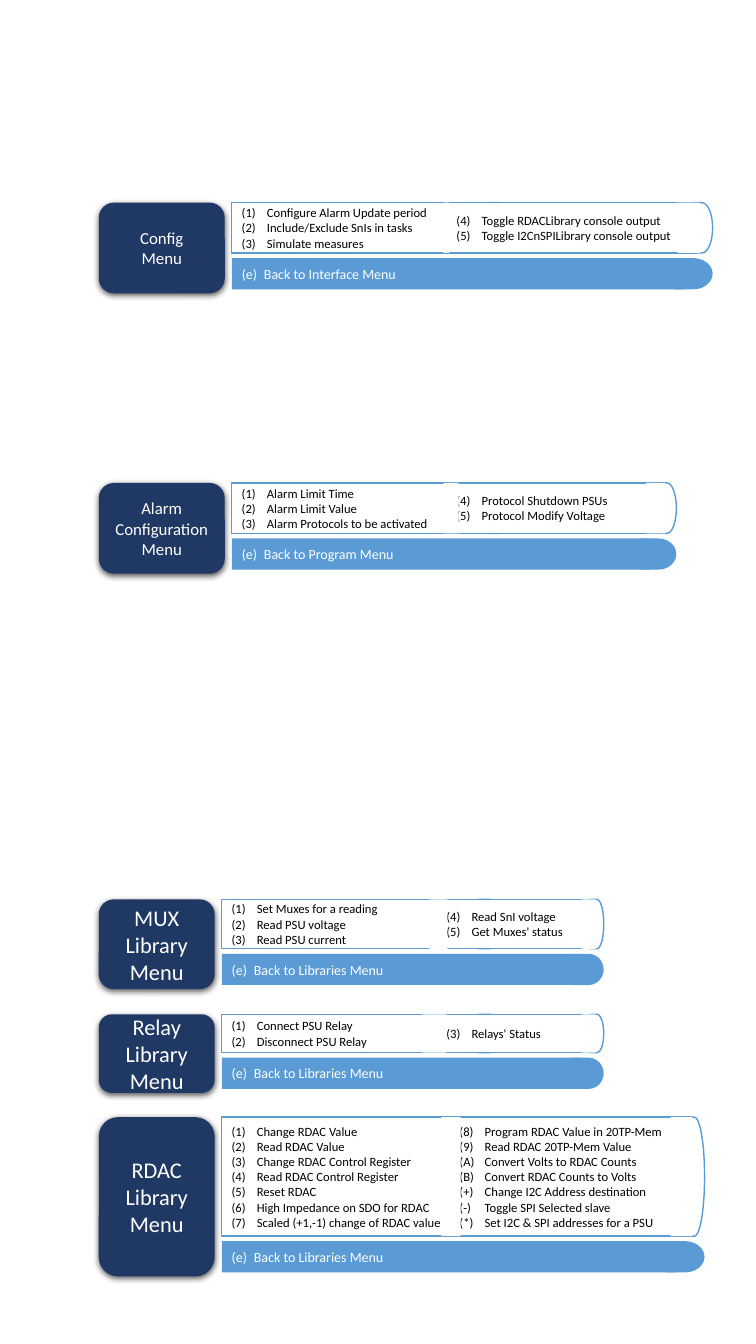
from dataclasses import dataclass

from lxml.etree import SubElement
from pptx import Presentation
from pptx.dml.color import RGBColor
from pptx.enum.shapes import MSO_SHAPE
from pptx.enum.text import MSO_ANCHOR, PP_ALIGN
from pptx.oxml.ns import qn
from pptx.util import Inches, Pt

# Content: each column is a list of (numbering, first number, entries)
NUMBERS, LETTERS, TYPED = "arabicParenBoth", "alphaUcParenBoth", None

MENUS = [
    dict(title=["Config", "Menu"], title_size=12, title_width=1.25,
         top=2.01, list_height=0.5, split=4.43, end=7.07, seam=(4.4, 0.06),
         left=[(NUMBERS, 1, ["Configure Alarm Update period",
                             "Include/Exclude SnIs in tasks",
                             "Simulate measures"])],
         right=[(NUMBERS, 4, ["Toggle RDACLibrary console output",
                              "Toggle I2CnSPILibrary console output"])],
         back="(e)\tBack to Interface Menu"),
    dict(title=["Alarm Configuration", "Menu"], title_size=12, title_width=1.25,
         top=4.79, list_height=0.5, split=4.43, end=6.71, seam=(4.4, 0.15),
         left=[(NUMBERS, 1, ["Alarm Limit Time",
                             "Alarm Limit Value",
                             "Alarm Protocols to be activated"])],
         right=[(NUMBERS, 4, ["Protocol Shutdown PSUs",
                              "Protocol Modify Voltage"])],
         back="(e)\tBack to Program Menu"),
    dict(title=["MUX", "Library", "Menu"], title_size=16, title_width=1.15,
         top=8.92, list_height=0.49, split=4.33, end=5.99, seam=(4.26, 0.18),
         left=[(NUMBERS, 1, ["Set Muxes for a reading",
                             "Read PSU voltage",
                             "Read PSU current"])],
         right=[(NUMBERS, 4, ["Read SnI voltage", "Get Muxes' status"])],
         back="(e)\tBack to Libraries Menu"),
    dict(title=["Relay", "Library", "Menu"], title_size=16, title_width=1.15,
         top=10.06, list_height=0.38, split=4.33, end=5.99, seam=(4.19, 0.24),
         left=[(NUMBERS, 1, ["Connect PSU Relay", "Disconnect PSU Relay"])],
         right=[(TYPED, 0, ["(3)\tRelays' Status"])],
         back="(e)\tBack to Libraries Menu"),
    dict(title=["RDAC", "Library", "Menu"], title_size=16, title_width=1.15,
         top=11.08, list_height=1.18, split=4.46, end=6.99, seam=(4.38, 0.19),
         left=[(NUMBERS, 1, ["Change RDAC Value",
                             "Read RDAC Value",
                             "Change RDAC Control Register",
                             "Read RDAC Control Register",
                             "Reset RDAC",
                             "High Impedance on SDO for RDAC",
                             "Scaled (+1,-1) change of RDAC value"])],
         right=[(NUMBERS, 8, ["Program RDAC Value in 20TP-Mem",
                              "Read RDAC 20TP-Mem Value"]),
                (LETTERS, 1, ["Convert Volts to RDAC Counts",
                              "Convert RDAC Counts to Volts"]),
                (TYPED, 0, ["(+)\tChange I2C Address destination",
                            "(-)\tToggle SPI Selected slave",
                            "(*)\tSet I2C & SPI addresses for a PSU"])],
         back="(e)\tBack to Libraries Menu"),
]


@dataclass(frozen=True)
class Theme:
    font: str = "Calibri"
    navy: str = "203864"
    blue: str = "5B9BD5"
    white: str = "FFFFFF"
    black: str = "000000"
    list_size: int = 9
    back_size: int = 10


THEME = Theme()

# Layout in inches, and shares of a rounded strip's full length
TITLE_LEFT, TITLE_GAP, LEFT_COLUMN = 0.98, 0.07, 2.77
BAR_GAP, BAR_HEIGHT, TITLE_EXTRA = 0.05, 0.31, 0.4
BODY, CAP, MASK_START, MASK = 0.94, 0.08, 0.867, 0.084


def add_block(shapes, preset, left, top, width, height, fill, line=None):
    block = shapes.add_shape(preset, Inches(left), Inches(top),
                             Inches(width), Inches(height))
    block.shadow.inherit = False
    block.fill.solid()
    block.fill.fore_color.rgb = RGBColor.from_string(fill)
    if line:
        block.line.color.rgb = RGBColor.from_string(line)
        block.line.width = Pt(1)
    else:
        block.line.fill.background()
    return block


def write(block, sections, size, color, align=PP_ALIGN.LEFT, hanging=0):
    frame = block.text_frame
    frame.word_wrap = True
    frame.vertical_anchor = MSO_ANCHOR.MIDDLE
    entries = [(numbering, start, text)
               for numbering, start, texts in sections for text in texts]
    for index, (numbering, start, text) in enumerate(entries):
        para = frame.paragraphs[0] if index == 0 else frame.add_paragraph()
        para.alignment = align
        if hanging:
            properties = para._p.get_or_add_pPr()
            properties.set("marL", str(Inches(hanging)))
            properties.set("indent", str(-Inches(hanging)))
            if numbering:
                bullet = SubElement(properties, qn("a:buAutoNum"), type=numbering)
                if start > 1:
                    bullet.set("startAt", str(start))
        span = para.add_run()
        span.text = text
        span.font.name = THEME.font
        span.font.size = Pt(size)
        span.font.color.rgb = RGBColor.from_string(color)


def add_shadow(block):
    effects = block._element.spPr.find(qn("a:effectLst"))
    shadow = SubElement(effects, qn("a:outerShdw"), blurRad=str(Pt(4.5)),
                        dist=str(Pt(1.5)), dir="5400000", algn="ctr",
                        rotWithShape="0")
    tint = SubElement(shadow, qn("a:srgbClr"), val=THEME.black)
    SubElement(tint, qn("a:alpha"), val="63000")


def add_strip(shapes, left, top, length, height, fill, line=None):
    """A rectangle whose right end is rounded by a delay shape."""
    body = add_block(shapes, MSO_SHAPE.RECTANGLE, left, top,
                     length * BODY, height, fill, line)
    add_block(shapes, MSO_SHAPE.FLOWCHART_DELAY, left + length * (1 - CAP), top,
              length * CAP, height, fill, line)
    if line:
        add_block(shapes, MSO_SHAPE.RECTANGLE, left + length * MASK_START, top,
                  length * MASK, height, fill)
    return body


def add_menu(slide, menu):
    shapes = slide.shapes.add_group_shape().shapes
    top, height = menu["top"], menu["list_height"]
    left = TITLE_LEFT + menu["title_width"] + TITLE_GAP

    # Title block
    title = add_block(shapes, MSO_SHAPE.ROUNDED_RECTANGLE, TITLE_LEFT, top,
                      menu["title_width"], height + TITLE_EXTRA, THEME.navy)
    add_shadow(title)
    write(title, [(TYPED, 0, menu["title"])], menu["title_size"], THEME.white,
          align=PP_ALIGN.CENTER)

    # Left column, return bar, right column
    first = add_strip(shapes, left, top, LEFT_COLUMN, height,
                      THEME.white, THEME.blue)
    write(first, menu["left"], THEME.list_size, THEME.black, hanging=0.25)
    bar = add_strip(shapes, left, top + height + BAR_GAP, menu["end"] - left,
                    BAR_HEIGHT, THEME.blue)
    write(bar, [(TYPED, 0, [menu["back"]])], THEME.back_size, THEME.white,
          hanging=0.22)
    second = add_strip(shapes, menu["split"], top, menu["end"] - menu["split"],
                       height, THEME.white, THEME.blue)
    write(second, menu["right"], THEME.list_size, THEME.black, hanging=0.25)

    # Cover over the seam between the columns
    seam_left, seam_width = menu["seam"]
    add_block(shapes, MSO_SHAPE.RECTANGLE, seam_left, top, seam_width, height,
              THEME.white)


def main():
    deck = Presentation()
    deck.slide_width, deck.slide_height = Inches(7.5), Inches(13.33)
    page = deck.slides.add_slide(deck.slide_layouts[6])
    for menu in MENUS:
        add_menu(page, menu)
    deck.save("out.pptx")


if __name__ == "__main__":
    main()
